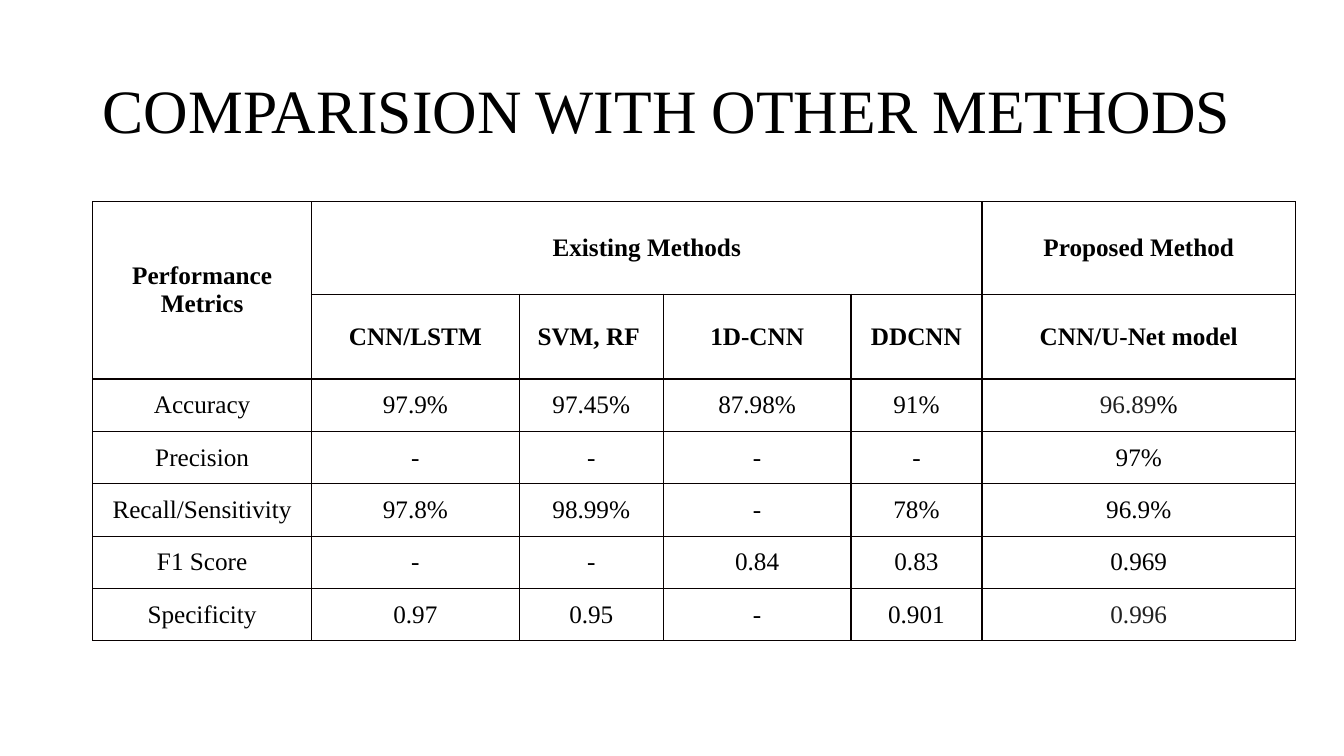
from dataclasses import dataclass

from lxml.etree import SubElement
from pptx import Presentation
from pptx.dml.color import RGBColor as RGB
from pptx.enum.text import MSO_ANCHOR as Anchor, PP_ALIGN as Align
from pptx.oxml.ns import qn
from pptx.util import Inches, Pt


@dataclass(frozen=True)
class Theme:
    font: str = "Times New Roman"
    ink: str = "000000"
    soft: str = "212121"
    rule: str = "080000"
    title: int = 44
    body: int = 18
    line: int = 1


THEME = Theme()
WIDTHS = [2.17, 2.06, 1.43, 1.86, 1.3, 3.11]
HEIGHTS = [0.92, 0.84] + [0.52] * 5
HEADS = 2
ROWS = [
    ["Performance Metrics", "Existing Methods", "", "", "", "Proposed Method"],
    ["", "CNN/LSTM", "SVM, RF ", "1D-CNN", "DDCNN", "CNN/U-Net model"],
    ["Accuracy", "97.9%", "97.45%", "87.98%", "91%", "96.89%"],
    ["Precision", "-", "-", "-", "-", "97%"],
    ["Recall/Sensitivity", "97.8%", "98.99%", "-", "78%", "96.9%"],
    ["F1 Score", "-", "-", "0.84", "0.83", "0.969"],
    ["Specificity", "0.97", "0.95", "-", "0.901", "0.996"],
]
SPANS = [((0, 0), (1, 0)), ((0, 1), (0, 4))]
# Cells whose number is softer than the rest of the text
SOFT = {(2, 5): "96.89", (6, 5): "0.996"}


def style(para, size, align, bold=False):
    para.alignment = align
    font = para.font
    font.name, font.size, font.bold = THEME.font, Pt(size), bold
    font.color.rgb = RGB.from_string(THEME.ink)


def add_title(slide, text):
    title = slide.shapes.title
    title.left, title.top = Inches(0.92), Inches(0.4)
    title.width, title.height = Inches(11.5), Inches(1.45)
    frame = title.text_frame
    frame.text = text
    frame.word_wrap = True
    frame.vertical_anchor = Anchor.MIDDLE
    para = frame.paragraphs[0]
    para.line_spacing = 0.9
    style(para, THEME.title, Align.LEFT)


def add_rules(cell):
    """Draw a solid line on all four sides of the cell."""
    props = cell._tc.get_or_add_tcPr()
    for side in ("lnL", "lnR", "lnT", "lnB"):
        line = SubElement(props, qn(f"a:{side}"), w=str(Pt(THEME.line)))
        fill = SubElement(line, qn("a:solidFill"))
        SubElement(fill, qn("a:srgbClr"), val=THEME.rule)


def fill_cell(cell, text, bold, soft):
    add_rules(cell)
    cell.fill.background()
    cell.vertical_anchor = Anchor.MIDDLE
    cell.margin_left = cell.margin_right = Inches(0.07)
    cell.margin_top = cell.margin_bottom = 0
    para = cell.text_frame.paragraphs[0]
    style(para, THEME.body, Align.CENTER, bold)
    if soft:
        run = para.add_run()
        run.text = soft
        run.font.color.rgb = RGB.from_string(THEME.soft)
    rest = text.removeprefix(soft)
    if rest:
        para.add_run().text = rest


def add_grid(slide):
    frame = slide.shapes.add_table(
        len(ROWS), len(WIDTHS), Inches(0.92), Inches(2),
        Inches(sum(WIDTHS)), Inches(sum(HEIGHTS)))
    table = frame.table
    table.horz_banding = False
    for col, width in zip(table.columns, WIDTHS):
        col.width = Inches(width)
    for row, height in zip(table.rows, HEIGHTS):
        row.height = Inches(height)
    for r, row in enumerate(ROWS):
        for c, text in enumerate(row):
            fill_cell(table.cell(r, c), text, r < HEADS, SOFT.get((r, c), ""))
    for start, end in SPANS:
        table.cell(*start).merge(table.cell(*end))


def main():
    deck = Presentation()
    deck.slide_width, deck.slide_height = Inches(13.33), Inches(7.5)
    slide = deck.slides.add_slide(deck.slide_layouts.get_by_name("Title Only"))
    add_title(slide, "COMPARISION WITH OTHER METHODS")
    add_grid(slide)
    deck.save("out.pptx")


if __name__ == "__main__":
    main()
